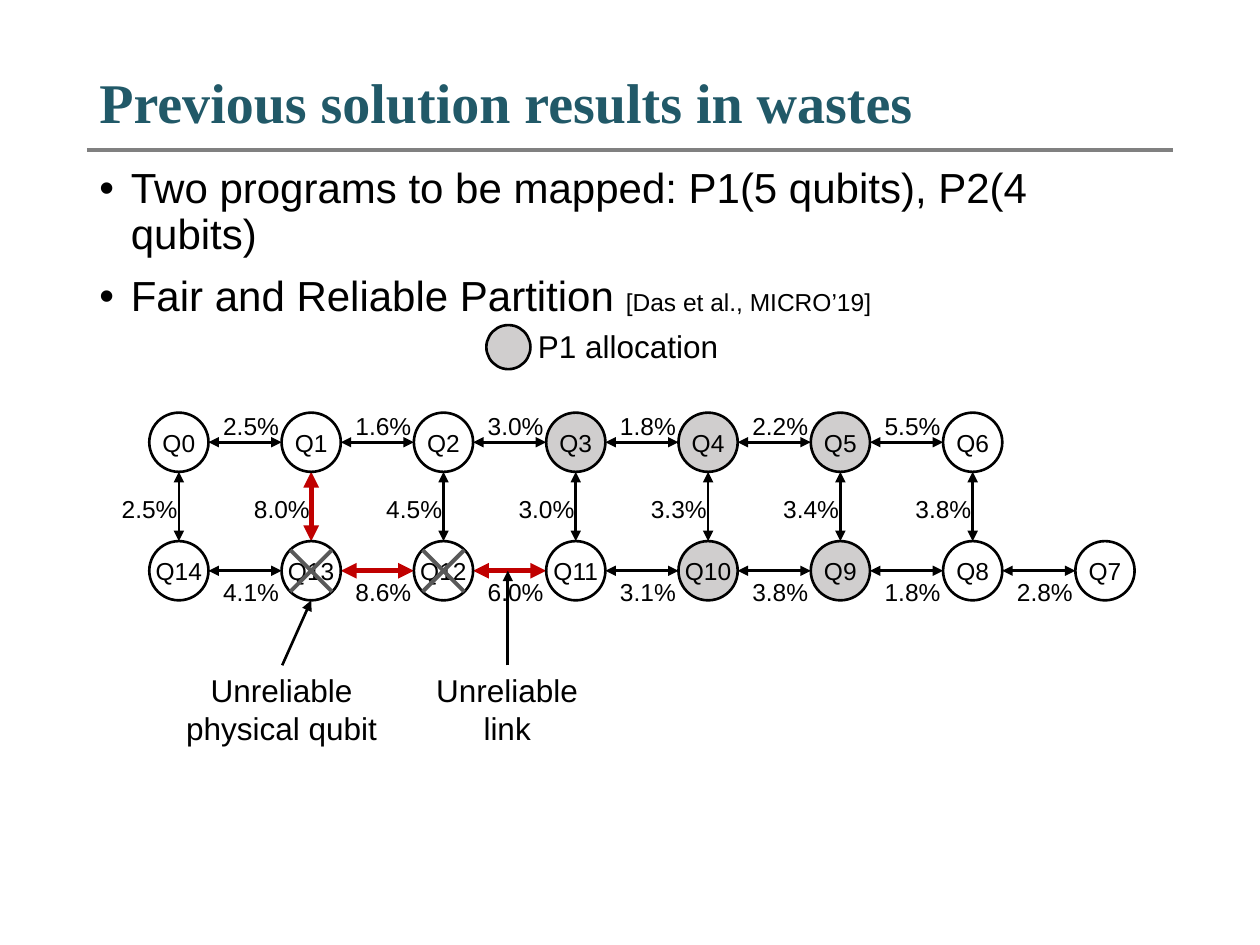
import pptx
import pptx.dml.color
import pptx.enum.shapes
import pptx.enum.text
import pptx.oxml
import pptx.oxml.ns
import pptx.util

COLORS = {"black": "000000", "white": "FFFFFF", "title": "215968", "rule": "808080",
          "unreliable": "C00000", "allocated": "D0CECE", "cross": "595959"}
ALIGN = pptx.enum.text.PP_ALIGN
ANCHOR = pptx.enum.text.MSO_ANCHOR
GRID_COLUMNS, GRID_ROWS = 100, 75

# Qubit lattice, in grid cells
FIRST_COLUMN, COLUMN_STEP = 14.2, 10.5
ROW_CENTERS = (35.1, 45.3)
RADIUS = 2.35
LABEL_WIDTH, LABEL_HEIGHT = 7.7, 2.4
HORIZONTAL_LABEL_TOPS = (32.6, 45.8)
VERTICAL_LABEL_TOP = 39.2

QUBITS = (("Q0", "Q1", "Q2", "Q3", "Q4", "Q5", "Q6"),
          ("Q14", "Q13", "Q12", "Q11", "Q10", "Q9", "Q8", "Q7"))
HORIZONTAL_ERRORS = ((2.5, 1.6, 3.0, 1.8, 2.2, 5.5),
                     (4.1, 8.6, 6.0, 3.1, 3.8, 1.8, 2.8))
VERTICAL_ERRORS = (2.5, 8.0, 4.5, 3.0, 3.3, 3.4, 3.8)
UNRELIABLE_ERROR = 6.0
P1_QUBITS = {"Q3", "Q4", "Q5", "Q9", "Q10"}
UNRELIABLE_QUBITS = {"Q12", "Q13"}


def rgb(name):
    return pptx.dml.color.RGBColor.from_string(COLORS[name])


def add_xml(parent, tag, **attributes):
    element = pptx.oxml.ns.qn(tag)
    child = parent.makeelement(element, attributes)
    parent.append(child)


def write(frame, text, size=14, font="Arial", color="black", bold=False,
          align=ALIGN.LEFT, spacing=None, before=0, bullet=None, note=None, note_size=14):
    """Fill a frame, one paragraph a line; a note ends the last line in a smaller size."""
    lines = text.split("\n")
    for index, line in enumerate(lines):
        paragraph = frame.paragraphs[0] if index == 0 else frame.add_paragraph()
        paragraph.alignment = align
        if spacing:
            paragraph.line_spacing = spacing
        if index and before:
            paragraph.space_before = pptx.util.Pt(before)
        if bullet:
            properties = paragraph._p.get_or_add_pPr()
            indent = pptx.util.Inches(0.25)
            properties.set("marL", str(indent))
            properties.set("indent", str(-indent))
            add_xml(properties, "a:buFont", typeface="Arial")
            add_xml(properties, "a:buChar", char=bullet)
        runs = [(line, size)]
        if note and index == len(lines) - 1:
            runs.append((note, note_size))
        for words, points in runs:
            run = paragraph.add_run()
            run.text = words
            run.font.size = pptx.util.Pt(points)
            run.font.name = font
            run.font.bold = bold
            run.font.color.rgb = rgb(color)


class Canvas:
    """The current slide, addressed in grid cells."""

    def __init__(self, presentation):
        self.slide = presentation.slides.add_slide(presentation.slide_layouts[6])
        self.cell_width = presentation.slide_width / GRID_COLUMNS
        self.cell_height = presentation.slide_height / GRID_ROWS

    def place(self, column, row):
        return round(column * self.cell_width), round(row * self.cell_height)

    def text(self, box, text, label=False, grow=True, anchor=ANCHOR.TOP, **style):
        shape = self.slide.shapes.add_textbox(*self.place(*box[:2]), *self.place(*box[2:]))
        frame = shape.text_frame
        frame.word_wrap = True
        frame.vertical_anchor = anchor
        if grow:
            frame.auto_size = pptx.enum.text.MSO_AUTO_SIZE.SHAPE_TO_FIT_TEXT
        if label:
            frame.margin_left = frame.margin_top = frame.margin_bottom = 0
            frame.margin_right = pptx.util.Inches(0.02)
        write(frame, text, **style)

    def circle(self, center, radius, fill=None, text=None):
        column, row = center
        shape = self.slide.shapes.add_shape(
            pptx.enum.shapes.MSO_SHAPE.OVAL, *self.place(column - radius, row - radius),
            *self.place(2 * radius, 2 * radius))
        shape.shadow.inherit = False
        if fill:
            shape.fill.solid()
            shape.fill.fore_color.rgb = rgb(fill)
        else:
            shape.fill.background()
        shape.line.color.rgb = rgb("black")
        shape.line.width = pptx.util.Pt(1.5)
        if text:
            frame = shape.text_frame
            frame.margin_left = frame.margin_right = frame.margin_top = frame.margin_bottom = 0
            frame.word_wrap = False
            frame.vertical_anchor = ANCHOR.MIDDLE
            write(frame, text, align=ALIGN.CENTER)

    def line(self, start, end, color="black", width=1.5, heads=()):
        connector = self.slide.shapes.add_connector(
            pptx.enum.shapes.MSO_CONNECTOR.STRAIGHT, *self.place(*start), *self.place(*end))
        connector.line.color.rgb = rgb(color)
        connector.line.width = pptx.util.Pt(width)
        for head in heads:
            add_xml(connector.line._get_or_add_ln(), head, type="triangle")
        add_xml(connector._element.spPr, "a:effectLst")

    def link(self, start, end, error):
        style = {"color": "unreliable", "width": 3} if error >= UNRELIABLE_ERROR else {}
        self.line(start, end, heads=("a:headEnd", "a:tailEnd"), **style)

    def error_label(self, right, top, error, width=LABEL_WIDTH):
        self.text((right - width, top, width, LABEL_HEIGHT), f"{error:.1f}%",
                  label=True, align=ALIGN.RIGHT)

    def cross(self, center, reach=1.65):
        column, row = center
        for side in (-reach, reach):
            self.line((column + side, row - reach), (column - side, row + reach),
                      color="cross", width=2.25)


def qubit_center(column, row):
    return FIRST_COLUMN + column * COLUMN_STEP, ROW_CENTERS[row]


def draw_lattice(canvas):
    # Horizontal links with their error rates
    for row, errors in enumerate(HORIZONTAL_ERRORS):
        for column, error in enumerate(errors):
            left, middle = qubit_center(column, row)
            right = left + COLUMN_STEP - RADIUS
            canvas.error_label(right, HORIZONTAL_LABEL_TOPS[row], error)
            canvas.link((left + RADIUS, middle), (right, middle), error)

    # Vertical links; the first label is narrower
    top, bottom = ROW_CENTERS
    for column, error in enumerate(VERTICAL_ERRORS):
        center = qubit_center(column, 0)[0]
        canvas.link((center, top + RADIUS), (center, bottom - RADIUS), error)
        canvas.error_label(center + 0.1, VERTICAL_LABEL_TOP, error,
                           width=LABEL_WIDTH if column else 5)

    # Qubits
    for row, names in enumerate(QUBITS):
        for column, name in enumerate(names):
            center = qubit_center(column, row)
            unreliable = name in UNRELIABLE_QUBITS
            fill = "allocated" if name in P1_QUBITS else "white" if unreliable else None
            canvas.circle(center, RADIUS, fill, name)
            if unreliable:
                canvas.cross(center)


def main():
    presentation = pptx.Presentation()
    presentation.slide_width = pptx.util.Inches(10)
    presentation.slide_height = pptx.util.Inches(7.5)
    canvas = Canvas(presentation)

    # Title and bullets
    canvas.line((6.9, 11.9), (93.1, 11.9), color="rule", width=2.25)
    canvas.text((6.9, 12.8, 86.2, 54.8),
                "Two programs to be mapped: P1(5 qubits), P2(4 qubits)\n"
                "Fair and Reliable Partition ", note="[Das et al., MICRO’19]",
                grow=False, size=24, spacing=0.9, before=10, bullet="•")
    canvas.text((6.9, 4.9, 86.2, 7), "Previous solution results in wastes", grow=False,
                anchor=ANCHOR.MIDDLE, size=32, font="Times New Roman", color="title",
                bold=True, spacing=0.9)

    draw_lattice(canvas)

    # Callouts
    qubit_column, qubit_row = qubit_center(1, 1)
    canvas.line((22.4, 52.8), (qubit_column, qubit_row + RADIUS), heads=("a:tailEnd",))
    canvas.text((13.5, 52.8, 17.7, 7.1), "Unreliable\nphysical qubit",
                size=18, align=ALIGN.CENTER)
    canvas.line((40.3, 52.8), (40.3, qubit_row), heads=("a:tailEnd",))
    canvas.text((32, 52.8, 16.5, 7.1), "Unreliable\nlink", size=18, align=ALIGN.CENTER)

    # Legend
    canvas.circle((40.35, 27.55), 1.75, "allocated")
    canvas.text((41.7, 25.5, 16.5, 4), "P1 allocation", size=18)

    presentation.save("out.pptx")


if __name__ == "__main__":
    main()
